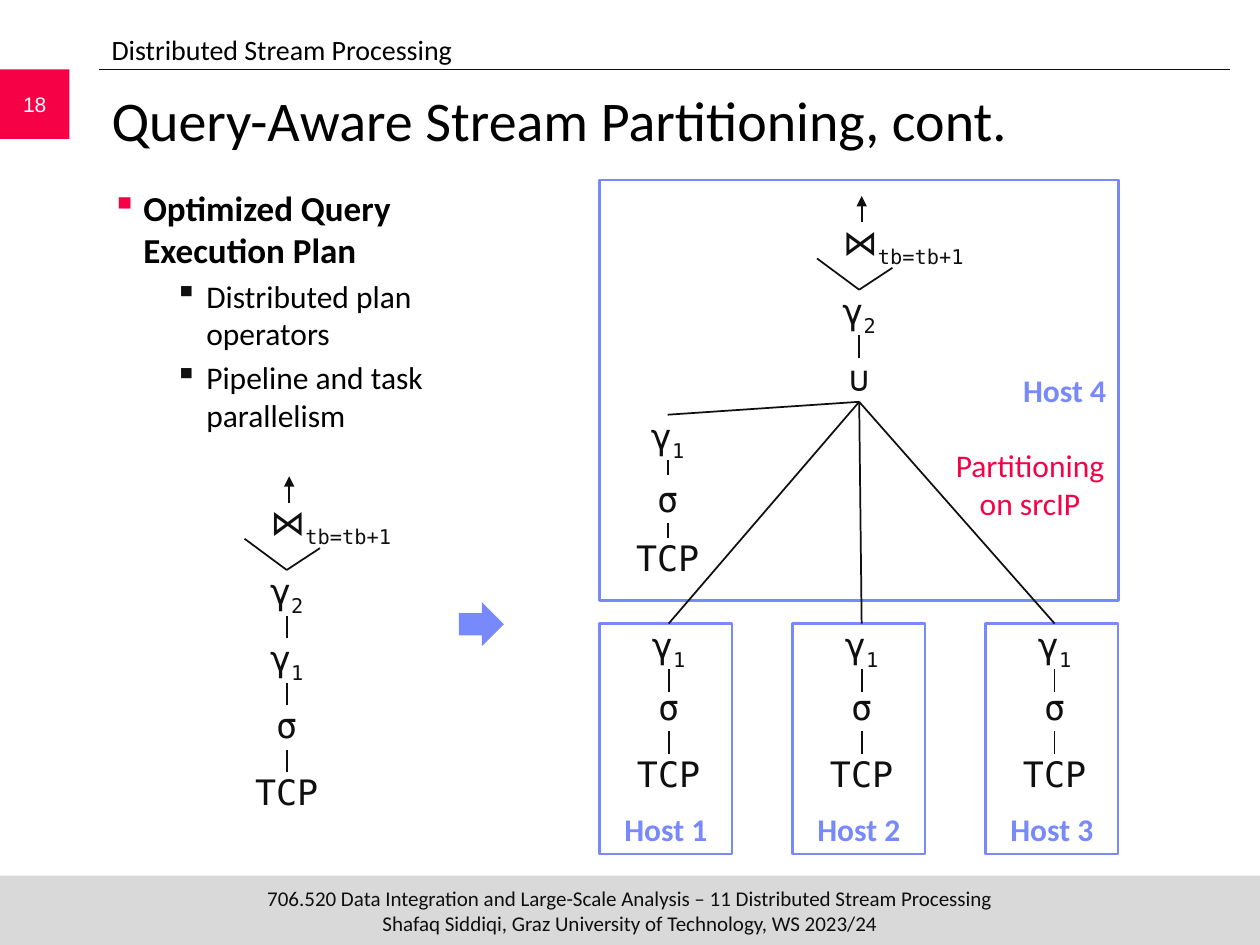
"""Build the slide on query-aware stream partitioning."""
import lxml.etree
import pptx
import pptx.dml.color
import pptx.enum.shapes
import pptx.enum.text
import pptx.oxml.ns
import pptx.util

Cm, Pt = pptx.util.Cm, pptx.util.Pt
qn = pptx.oxml.ns.qn
RGB = pptx.dml.color.RGBColor.from_string
ALIGN, ANCHOR = pptx.enum.text.PP_ALIGN, pptx.enum.text.MSO_ANCHOR
SHAPE = pptx.enum.shapes.MSO_SHAPE
COLORS = {"ink": "0F0F0F", "black": "000000", "white": "FFFFFF",
          "red": "F70146", "blue": "7889FB", "grey": "D9D9D9"}
MONO = "DejaVu Sans Mono"

deck = pptx.Presentation()
deck.slide_width, deck.slide_height = Cm(25.4), Cm(19.05)
page = deck.slides.add_slide(deck.slide_layouts[6])


def write(box, text, size, color, font="Calibri", align=ALIGN.CENTER,
          bold=False, anchor=ANCHOR.TOP, margins=(0.25, 0.13, 0.25, 0.13)):
    """Fill a box with text; what follows an underscore is a subscript."""
    frame = box.text_frame
    frame.word_wrap, frame.vertical_anchor = True, anchor
    (frame.margin_left, frame.margin_top,
     frame.margin_right, frame.margin_bottom) = map(Cm, margins)
    main, _, subscript = text.partition("_")
    frame.text = main
    para = frame.paragraphs[0]
    para.alignment = align
    if subscript:
        para.add_run().text = subscript
    for index, span in enumerate(para.runs):
        span.font.size, span.font.bold = Pt(size), bold
        span.font.name = font
        span.font.color.rgb = RGB(COLORS[color])
        if subscript and index:
            span.font.name = MONO
            span._r.get_or_add_rPr().set("baseline", "-25000")


def add_line(start, end, width=1, arrow=False):
    """Draw a straight line between two points, with an optional arrowhead."""
    line = page.shapes.add_connector(
        pptx.enum.shapes.MSO_CONNECTOR.STRAIGHT, *map(Cm, (*start, *end)))
    line.line.color.rgb, line.line.width = RGB(COLORS["ink"]), Pt(width)
    if arrow:
        lxml.etree.SubElement(line.line._get_or_add_ln(), qn("a:tailEnd"), type="triangle")
    lxml.etree.SubElement(line._element.spPr, qn("a:effectLst"))


filled = {}
for name, kind, place, color in [
        ("footer", SHAPE.RECTANGLE, (0, 17.65, 25.4, 1.4), "grey"),
        ("number", SHAPE.RECTANGLE, (0, 1.4, 1.4, 1.4), "red"),
        ("arrow", SHAPE.RIGHT_ARROW, (9.25, 12.14, 0.91, 0.89), "blue")]:
    shape = page.shapes.add_shape(kind, *map(Cm, place))
    shape.shadow.inherit = False
    shape.fill.solid()
    shape.fill.fore_color.rgb = RGB(COLORS[color])
    shape.line.fill.background()
    filled[name] = shape
write(filled["footer"],
      "706.520 Data Integration and Large-Scale Analysis – 11 Distributed Stream Processing\v"
      "Shafaq Siddiqi, Graz University of Technology, WS 2023/24",
      12, "ink", anchor=ANCHOR.MIDDLE, margins=(0, 0, 0, 0))
write(filled["number"], "18", 12, "white", font="Arial", anchor=ANCHOR.MIDDLE)
add_line((2, 1.4), (24.8, 1.4), width=0.5)

for text, size, place in [
        ("Distributed Stream Processing", 16, (2, 0.53, 22.86, 0.91)),
        ("Query-Aware Stream Partitioning, cont.", 32, (2, 1.6, 22.76, 2.1))]:
    box = page.shapes.add_textbox(*map(Cm, place))
    write(box, text, size, "black", align=ALIGN.LEFT)

body = page.shapes.add_textbox(Cm(2), Cm(3.63), Cm(9.5), Cm(5.5))
body.text_frame.word_wrap = True
for index, (text, size, indent, bullet) in enumerate([
        ("Optimized Query\vExecution Plan", 20, 0.64, "red"),
        ("Distributed plan\voperators", 18, 1.91, "ink"),
        ("Pipeline and task\vparallelism", 18, 1.91, "ink")]):
    para = body.text_frame.add_paragraph() if index else body.text_frame.paragraphs[0]
    para.text = text
    para.level = min(index, 1)
    settings = para._p.get_or_add_pPr()
    settings.set("marL", str(Cm(indent)))
    settings.set("indent", str(-Cm(0.64)))
    bullet_color = lxml.etree.SubElement(settings, qn("a:buClr"))
    lxml.etree.SubElement(bullet_color, qn("a:srgbClr"), val=COLORS[bullet])
    lxml.etree.SubElement(settings, qn("a:buChar"), char="▪")
    if index:
        para.space_before = Pt(3.6)
    for span in para.runs:
        span.font.name, span.font.size = "Calibri", Pt(size)
        span.font.bold = index == 0
        span.font.color.rgb = RGB(COLORS["black"])

HOST_LEFT, HOST_TOP, HOST_PITCH = 12.09, 12.57, 3.89
host_centers = [HOST_LEFT + 1.39 + HOST_PITCH * number for number in range(3)]
hosts = [(f"Host {number + 1}", (HOST_LEFT + HOST_PITCH * number, HOST_TOP, 2.67, 4.65),
          ALIGN.CENTER, ANCHOR.BOTTOM) for number in range(3)]
hosts.append(("Host 4", (HOST_LEFT, 3.63, 10.46, 8.48), ALIGN.RIGHT, ANCHOR.MIDDLE))
for text, place, align, anchor in hosts:
    host = page.shapes.add_shape(SHAPE.RECTANGLE, *map(Cm, place))
    host.shadow.inherit = False
    host.fill.background()
    host.line.color.rgb, host.line.width = RGB(COLORS["blue"]), Pt(1.5)
    write(host, text, 18, "blue", align=align, bold=True, anchor=anchor)

LOCAL, UNION = (13.46, 8.36), (17.32, 8.1)
PLANS = [(5.78, 11.49), (UNION[0], 5.84)]
OPERATOR_HEIGHT, OPERATOR_MARGINS = 0.92, (0.25, 0, 0.25, 0.05)
pipeline = ["γ_1", "σ", "TCP"]
chains = [(*PLANS[0], ["γ_2"] + pipeline, [0, 1.35, 2.7, 4.05], 0.45),
          (*PLANS[1], ["γ_2", "∪"], [0, 1.35], 0.45),
          (*LOCAL, pipeline, [0, 1.27, 2.46], 0.3)]
chains += [(center, HOST_TOP, pipeline, [0, 1.25, 2.6], 0.45) for center in host_centers]
for center, top, operators, offsets, link in chains:
    for index, (operator, offset) in enumerate(zip(operators, offsets)):
        box = page.shapes.add_textbox(
            Cm(center - 0.93), Cm(top + offset), Cm(1.86), Cm(OPERATOR_HEIGHT))
        write(box, operator, 20, "ink", font=MONO, margins=OPERATOR_MARGINS)
        if index < len(operators) - 1:
            bottom = top + offset + OPERATOR_HEIGHT
            add_line((center, bottom + link), (center, bottom))

for center, top in PLANS:
    add_line((center + 0.05, top - 1.36), (center + 0.05, top - 1.89), arrow=True)
    join = page.shapes.add_textbox(
        Cm(center - 0.66), Cm(top - 1.4), Cm(3.1), Cm(OPERATOR_HEIGHT))
    write(join, "⋈_tb=tb+1", 20, "ink", margins=OPERATOR_MARGINS)
    add_line((center - 0.85, top - 0.63), (center, top))
    add_line((center, top), (center + 0.67, top - 0.44))

for target in [LOCAL] + [(center, HOST_TOP) for center in host_centers]:
    add_line(target, UNION)

note = page.shapes.add_textbox(Cm(19.15), Cm(8.86), Cm(3.23), Cm(1.8))
write(note, "Partitioning on srcIP", 18, "red", margins=(0, 0.13, 0, 0.13))

deck.save("out.pptx")
